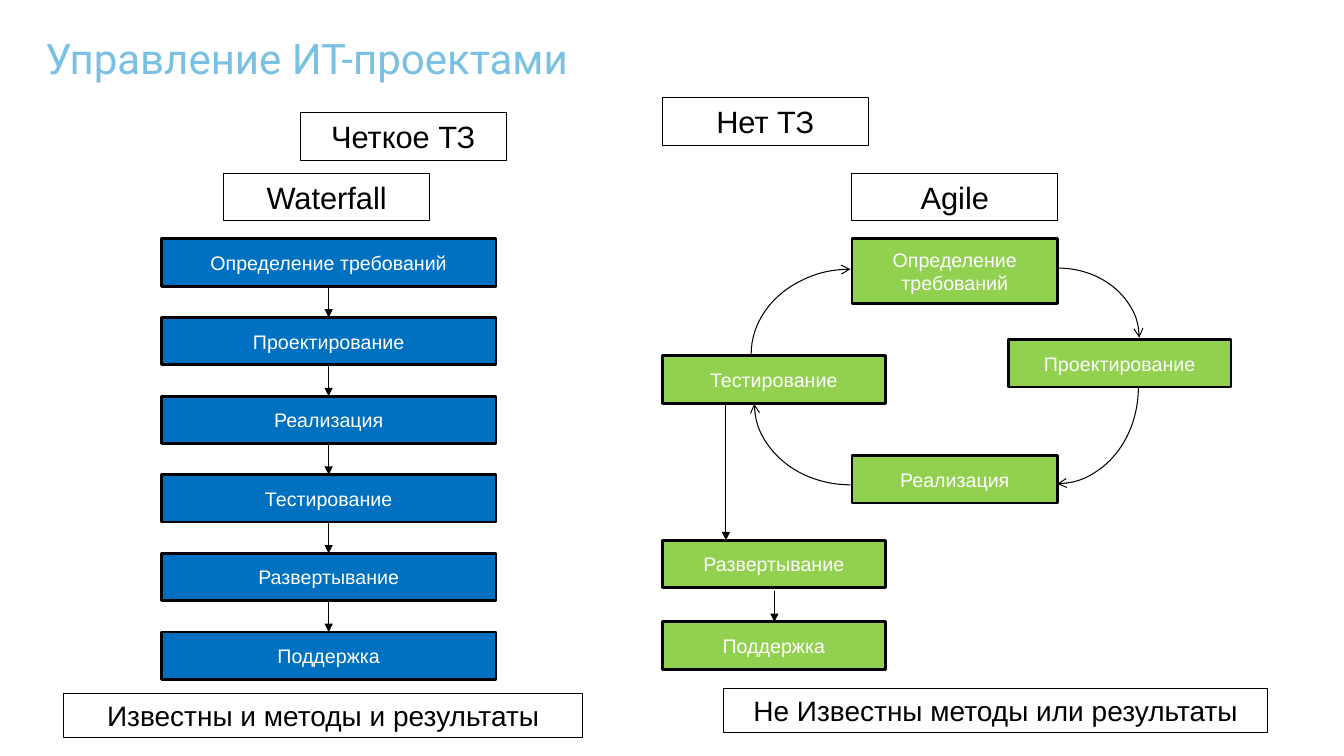
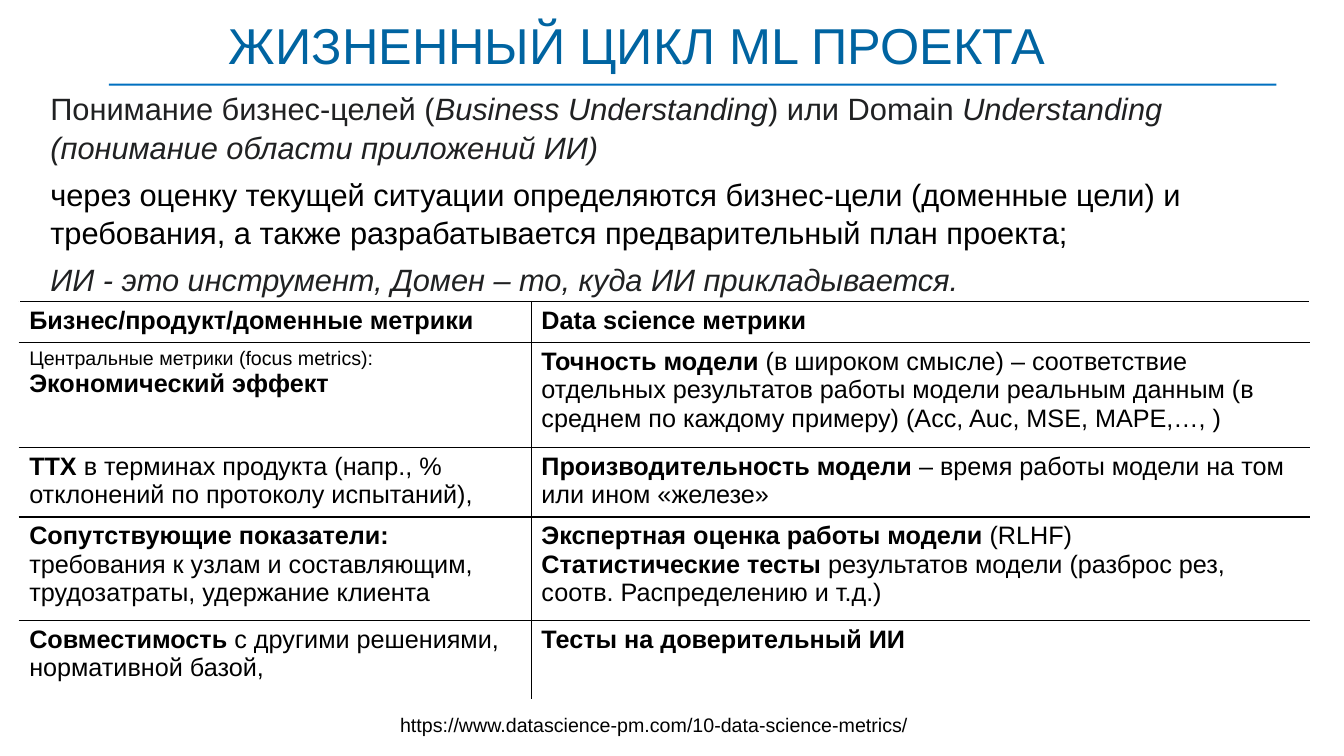
import itertools

import lxml.etree
import pptx
import pptx.dml.color
import pptx.enum.shapes
import pptx.enum.text
import pptx.oxml.ns
import pptx.util

CELL = 0.1  # inches in one grid column or row
COLORS = {
    "ink": "000000", "paper": "FFFFFF", "soft": "202122",
    "sky": "79C0E2", "navy": "0064A1", "blue": "0070C0", "green": "92D050",
}
TITLE_ONLY, TITLE_AND_BODY = 5, 1
SHAPES = pptx.enum.shapes.MSO_SHAPE
ANCHORS = pptx.enum.text.MSO_ANCHOR
ALIGN = pptx.enum.text.PP_ALIGN
qn = pptx.oxml.ns.qn


def grid(*cells):
    return [pptx.util.Inches(round(cell * CELL, 3)) for cell in cells]


def color(name):
    return pptx.dml.color.RGBColor.from_string(COLORS[name])


class Slides:
    """Holds the deck, its style and the current page; lengths are grid cells."""

    font = "Arial"

    def __init__(self):
        self.deck = pptx.Presentation()
        self.deck.slide_width = pptx.util.Inches(13.33)
        self.deck.slide_height = pptx.util.Inches(7.5)
        self.page = None

    def add_page(self, layout, title, at, size, ink, font=font):
        self.page = self.deck.slides.add_slide(self.deck.slide_layouts[layout])
        box = self.page.shapes.title
        self.move(box, at)
        frame = self.frame(box, ANCHORS.TOP, margin=0)
        para = frame.paragraphs[0]
        para.line_spacing = 0.84
        self.set_text(para, [(title, "")], size, ink, ALIGN.LEFT, font)

    def move(self, box, at):
        box.left, box.top, box.width, box.height = grid(*at)

    def frame(self, box, anchor, margin=None):
        frame = box.text_frame
        frame.word_wrap = True
        frame.auto_size = pptx.enum.text.MSO_AUTO_SIZE.NONE
        frame.vertical_anchor = anchor
        if margin is not None:
            frame.margin_left = frame.margin_right = margin
            frame.margin_top = frame.margin_bottom = margin
        return frame

    def set_text(self, para, spans, size, ink="ink", align=None, font=font):
        """Fill a paragraph with (text, flags) spans; flags are b and i."""
        para.alignment = align
        para.font.name, para.font.size = font, pptx.util.Pt(size)
        para.font.color.rgb = color(ink)
        for text, flags in spans:
            span = para.add_run()
            span.text = text
            span.font.bold, span.font.italic = "b" in flags, "i" in flags

    def shape(self, kind, at, fill=None, line=None):
        shape = self.page.shapes.add_shape(kind, *grid(*at))
        shape.shadow.inherit = False
        if fill:
            shape.fill.solid()
            shape.fill.fore_color.rgb = color(fill)
        else:
            shape.fill.background()
        if line:
            shape.line.color.rgb = color("ink")
            shape.line.width = pptx.util.Pt(line)
        else:
            shape.line.fill.background()
        return shape

    def label(self, text, at, size=22):
        box = self.shape(SHAPES.RECTANGLE, at, line=0.75)
        frame = self.frame(box, ANCHORS.TOP)
        self.set_text(frame.paragraphs[0], [(text, "")], size, align=ALIGN.CENTER)

    def step(self, text, at, fill):
        box = self.shape(SHAPES.RECTANGLE, at, fill, line=2)
        frame = self.frame(box, ANCHORS.MIDDLE)
        self.set_text(frame.paragraphs[0], [(text, "")], 14, "paper", ALIGN.CENTER)

    def arrowhead(self, shape, kind):
        outline = shape._element.spPr.find(qn("a:ln"))
        lxml.etree.SubElement(outline, qn("a:tailEnd"), type=kind)

    def down_arrow(self, column, top, bottom):
        arrow = self.page.shapes.add_connector(
            pptx.enum.shapes.MSO_CONNECTOR.STRAIGHT, *grid(column, top, column, bottom))
        arrow.line.color.rgb = color("ink")
        arrow.line.width = pptx.util.Pt(0.75)
        self.arrowhead(arrow, "triangle")
        lxml.etree.SubElement(arrow._element.spPr, qn("a:effectLst"))

    def arc_arrow(self, at, rotation):
        arc = self.shape(SHAPES.ARC, at, line=0.75)
        arc.adjustments[0], arc.adjustments[1] = 162, 215.62
        arc.rotation = rotation
        self.arrowhead(arc, "arrow")

    def body(self, paragraphs, at, size):
        box = self.page.placeholders[1]
        self.move(box, at)
        frame = self.frame(box, ANCHORS.TOP)
        for index, (spans, ink) in enumerate(paragraphs):
            para = frame.add_paragraph() if index else frame.paragraphs[0]
            para.line_spacing = 1.04
            para.space_before, para.space_after = pptx.util.Pt(0), pptx.util.Pt(6)
            properties = para._p.get_or_add_pPr()
            properties.set("marL", "0")
            properties.set("indent", "0")
            lxml.etree.SubElement(properties, qn("a:buNone"))
            self.set_text(para, spans, size, ink, ALIGN.LEFT)

    def border(self, cell, side):
        properties = cell._tc.get_or_add_tcPr()
        edge = lxml.etree.SubElement(properties, qn("a:ln" + side), w="12700")
        fill = lxml.etree.SubElement(edge, qn("a:solidFill"))
        lxml.etree.SubElement(fill, qn("a:srgbClr"), val=COLORS["ink"])

    def table(self, rows, left, top, widths, heights):
        """Each cell is a list of (spans, size) paragraphs; only inner and top edges show."""
        table = self.page.shapes.add_table(
            len(rows), len(widths),
            *grid(left, top, sum(widths), sum(heights))).table
        table.first_row = table.horz_banding = False
        for column, width in zip(table.columns, grid(*widths)):
            column.width = width
        for row, height in zip(table.rows, grid(*heights)):
            row.height = height
        for r, c in itertools.product(range(len(rows)), range(len(widths))):
            cell = table.cell(r, c)
            edges = {"L": c > 0, "R": c < len(widths) - 1,
                     "T": True, "B": r < len(rows) - 1}
            for side in (side for side, shown in edges.items() if shown):
                self.border(cell, side)
            cell.fill.background()
            for index, (spans, size) in enumerate(rows[r][c]):
                frame = cell.text_frame
                para = frame.add_paragraph() if index else frame.paragraphs[0]
                self.set_text(para, spans, size)

    def caption(self, text, at, size):
        box = self.page.shapes.add_textbox(*grid(*at))
        frame = self.frame(box, ANCHORS.TOP)
        self.set_text(frame.paragraphs[0], [(text, "")], size)


def build_methods(slides):
    slides.add_page(TITLE_ONLY, "Управление ИТ-проектами", (4.5, 4, 95.8, 4.2),
                    30, "sky", "Roboto")
    high, pitch, first = 4.7, 7.8, 23.7
    phases = ["Определение требований", "Проектирование", "Реализация",
              "Тестирование", "Развертывание", "Поддержка"]

    for index, phase in enumerate(phases):
        top = first + index * pitch
        slides.step(phase, (16, top, 33.2, high), "blue")
        if index:
            slides.down_arrow(32.6, top - pitch + high, top)

    middle, left, narrow, wide = 84.5, 65.7, 20.4, 22.1
    places = [(middle, first, narrow, 6.4), (100, 33.7, wide, high),
              (middle, 45.2, narrow, high), (left, 35.3, wide, high),
              (left, 53.6, wide, high), (left, 61.7, wide, high)]
    for phase, at in zip(phases, places):
        slides.step(phase, at, "green")
    arcs = [(96.9, 26.6, 16.1, 14), (95.2, 30.3, 19.1, 16.3),
            (74.8, 31.8, 19.1, 16.3), (76, 25.2, 16.9, 19.9)]
    for quarter, at in enumerate(arcs):
        slides.arc_arrow(at, quarter * 90)
    slides.down_arrow(72, 40.1, 53.6)
    slides.down_arrow(76.8, 58.6, 61.7)

    for text, column, row in [("Waterfall", 22.2, 17.2), ("Agile", middle, 17.2),
                              ("Четкое ТЗ", 29.8, 11.2), ("Нет ТЗ", left, 9.7)]:
        slides.label(text, (column, row, narrow, high))
    slides.label("Известны и методы и результаты", (6.3, 68.8, 51.5, 4.4), 20)
    slides.label("Не Известны методы или результаты", (71.8, 68.3, 53.9, 4.4), 20)


def build_life_cycle(slides):
    slides.add_page(TITLE_AND_BODY, "ЖИЗНЕННЫЙ ЦИКЛ ML ПРОЕКТА",
                    (22.7, 2.4, 95.8, 5.1), 36, "navy")
    slides.shape(SHAPES.RECTANGLE, (10.8, 8.3, 115.8, 0.2), "blue")
    slides.body([
        ([("Понимание бизнес-целей (", ""), ("Business Understanding", "i"),
          (") или Domain ", ""),
          ("Understanding (понимание области приложений ИИ)", "i")], "soft"),
        ([("через оценку текущей ситуации определяются бизнес-цели (доменные цели) "
           "и требования, а также разрабатывается предварительный план проекта;", "")],
         "ink"),
        ([("ИИ - это инструмент, Домен – то, куда ИИ прикладывается.", "i")], "soft"),
    ], (4, 8.3, 124.8, 21.5), 22)

    def entry(bold, plain=""):
        spans = [(bold, "b"), (plain, "")] if plain else [(bold, "b")]
        return spans, 18

    slides.table([
        [[entry("Бизнес/продукт/доменные метрики")], [entry("Data science метрики")]],
        [[([("Центральные метрики (focus metrics):", "")], 14),
          entry("Экономический эффект")],
         [entry("Точность модели ",
                "(в широком смысле) – соответствие отдельных результатов работы модели "
                "реальным данным (в среднем по каждому примеру) "
                "(Acc, Auc, MSE, MAPE,…, )")]],
        [[entry("ТТХ", " в терминах продукта (напр., % отклонений по протоколу "
                       "испытаний),")],
         [entry("Производительность модели ",
                "– время работы модели на том или ином «железе»")]],
        [[entry("Сопутствующие показатели: ",
                "требования к узлам и составляющим, трудозатраты, удержание клиента")],
         [entry("Экспертная оценка работы модели ", "(RLHF)"),
          entry("Статистические тесты",
                " результатов модели (разброс рез, соотв. Распределению и т.д.)")]],
        [[entry("Совместимость ", "с другими решениями, нормативной базой,")],
         [entry("Тесты на доверительный ИИ")]],
    ], 1.9, 29.9, [50.8, 77.2], [4.1, 10.4, 6.9, 10.3, 7.8])
    slides.caption("https://www.datascience-pm.com/10-data-science-metrics/",
                   (38.7, 70.2, 52.7, 3.4), 14)


def main():
    slides = Slides()
    build_methods(slides)
    build_life_cycle(slides)
    slides.deck.save("out.pptx")


if __name__ == "__main__":
    main()
